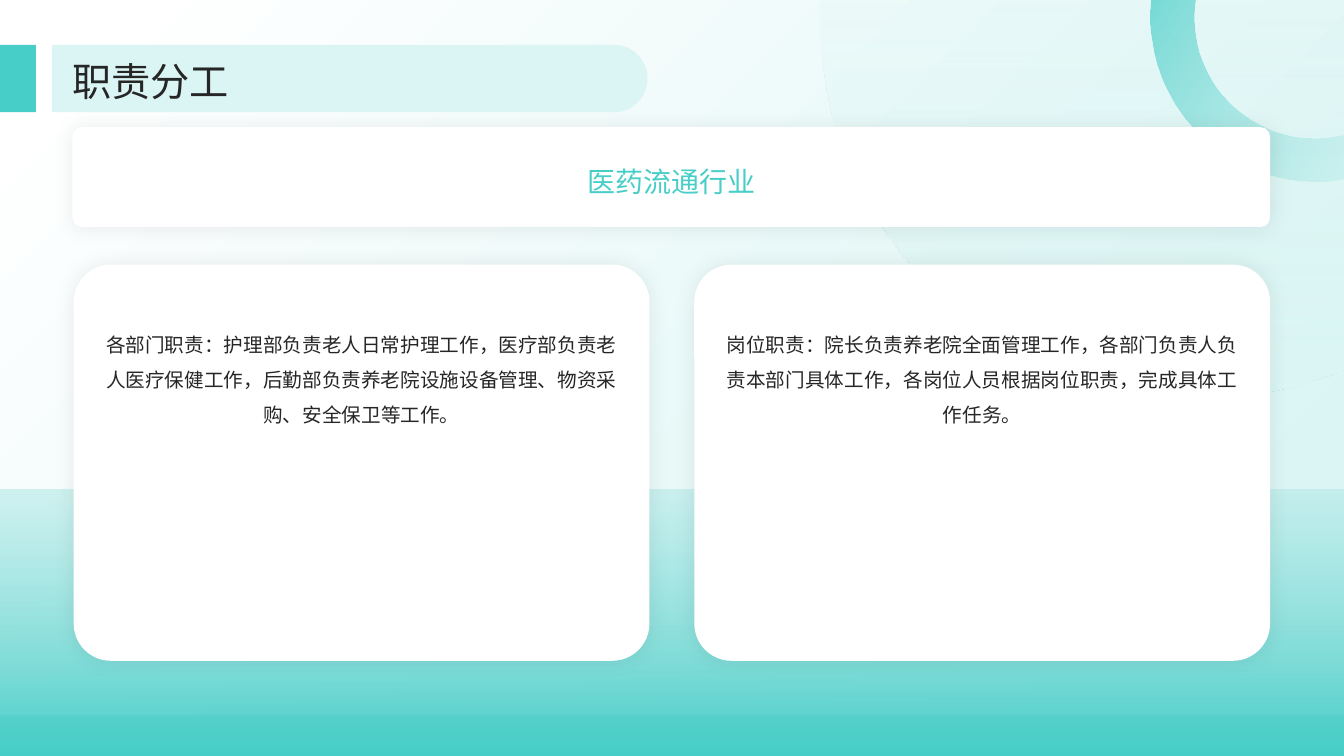
from dataclasses import dataclass

from lxml.etree import SubElement
from pptx import Presentation
from pptx.dml.color import RGBColor
from pptx.enum.shapes import MSO_SHAPE
from pptx.enum.text import MSO_ANCHOR, PP_ALIGN
from pptx.oxml import parse_xml
from pptx.oxml.ns import nsdecls, qn
from pptx.util import Pt


@dataclass(frozen=True)
class Theme:
    teal: str = "48CEC8"
    soft: str = "B6EBE9"
    pale: str = "DAF5F4"
    white: str = "FFFFFF"
    ink: str = "262626"
    shadow: str = "000000"
    body_font: str = "Noto Sans CJK SC"
    accent_font: str = "Cabin"
    title_size: int = 28
    heading_size: int = 20
    body_size: int = 14


THEME = Theme()
WIDTH, HEIGHT = 960, 540
HEADING = "医药流通行业"
DUTIES = [
    "各部门职责：护理部负责老人日常护理工作，医疗部负责老人医疗保健工作，"
    "后勤部负责养老院设施设备管理、物资采购、安全保卫等工作。",
    "岗位职责：院长负责养老院全面管理工作，各部门负责人负责本部门具体工作，"
    "各岗位人员根据岗位职责，完成具体工作任务。",
]


def add_shape(s, kind, box, color=None, rotation=0, adjustments=()):
    sp = s.shapes.add_shape(kind, *map(Pt, box))
    sp.shadow.inherit = False
    sp.line.fill.background()
    sp.rotation = rotation
    for i, value in enumerate(adjustments):
        sp.adjustments[i] = value
    if color:
        sp.fill.solid()
        sp.fill.fore_color.rgb = RGBColor.from_string(color)
    return sp


def add_quarter_turned(s, kind, box, color, adjustments=()):
    """Add a shape turned by 90 degrees that covers the given box."""
    x, y, w, h = box
    upright = (x + (w - h) / 2, y + (h - w) / 2, h, w)
    return add_shape(s, kind, upright, color, 90, adjustments)


def set_gradient(sp, stops, angle):
    """Fill with (position %, colour, opacity %) stops."""
    gs = "".join(
        f'<a:gs pos="{pos * 1000}"><a:srgbClr val="{color}">'
        f'<a:alpha val="{opacity * 1000}"/></a:srgbClr></a:gs>'
        for pos, color, opacity in stops
    )
    fill = parse_xml(
        f'<a:gradFill {nsdecls("a")} rotWithShape="1"><a:gsLst>{gs}</a:gsLst>'
        f'<a:lin ang="{angle * 60000}" scaled="0"/></a:gradFill>'
    )
    sp.element.spPr.find(qn("a:prstGeom")).addnext(fill)


def add_text(s, box, text, font, size, color, spacing,
             align=PP_ALIGN.CENTER, **frame_format):
    tf = s.shapes.add_textbox(*map(Pt, box)).text_frame
    tf.word_wrap = True
    for name, value in frame_format.items():
        setattr(tf, name, value)
    p = tf.paragraphs[0]
    for name, value in {"alignment": align, "line_spacing": spacing}.items():
        setattr(p, name, value)
    r = p.add_run()
    r.text = text
    for name, value in {"name": font, "size": Pt(size)}.items():
        setattr(r.font, name, value)
    r.font.color.rgb = RGBColor.from_string(color)
    SubElement(r.font._element, qn("a:ea"), typeface=font)


def add_panel(s, box):
    """Add a white rounded panel with a soft glow-like shadow."""
    sp = add_shape(s, MSO_SHAPE.ROUNDED_RECTANGLE, box, THEME.white, 180, [0.094])
    shadow = parse_xml(
        f'<a:outerShdw {nsdecls("a")} blurRad="{Pt(15)}" dist="0" dir="0" '
        f'algn="ctr" rotWithShape="0"><a:srgbClr val="{THEME.shadow}">'
        '<a:alpha val="8000"/></a:srgbClr></a:outerShdw>'
    )
    sp.element.spPr.find(qn("a:effectLst")).append(shadow)


def add_backdrop(s, box):
    x, y, w, h = box
    base = add_shape(s, MSO_SHAPE.RECTANGLE, box, rotation=180)
    set_gradient(base, [(14, THEME.pale, 100), (95, THEME.white, 100)], 45)

    disc = add_shape(s, MSO_SHAPE.OVAL, (x + w - 374, y - 258.5, 542, 542),
                     rotation=45)
    set_gradient(disc, [(40, THEME.pale, 0), (100, THEME.pale, 100)], 45)

    add_shape(s, MSO_SHAPE.RECTANGLE, (x - 5, y + h - 29, w + 10, 29), THEME.teal)

    ring = add_shape(s, MSO_SHAPE.DONUT, (x + w - 138.5, y - 106, 235.5, 235.5),
                     rotation=256.7, adjustments=[0.133])
    set_gradient(ring, [(0, THEME.soft, 0), (100, THEME.teal, 100)], 315)

    floor = add_shape(s, MSO_SHAPE.RECTANGLE, (x, y + h - 190, w, 190))
    set_gradient(floor, [(0, THEME.soft, 61), (100, THEME.teal, 100)], 90)


def add_duty_cards(s, box, texts, gap=32):
    x, y, w, h = box
    card_w = (w - gap * (len(texts) - 1)) / len(texts)
    lefts = [x + i * (card_w + gap) for i in range(len(texts))]
    for left in lefts:
        add_panel(s, (left, y, card_w, h))
    for left, text in zip(lefts, texts):
        add_text(s, (left + 14.5, y + 36.5, card_w - 29, h - 60), text,
                 THEME.body_font, THEME.body_size, THEME.ink, 1.5)


def add_heading_panel(s, box, text):
    x, y, w, h = box
    add_panel(s, box)
    add_text(s, (x + 19, y + 21, w - 38, h - 42), text,
             THEME.accent_font, THEME.heading_size, THEME.teal, 1.1)


def add_title_bar(s, box, text):
    x, y, w, h = box
    add_quarter_turned(s, MSO_SHAPE.RECTANGLE, (x, y, 26, h), THEME.teal)
    add_quarter_turned(s, MSO_SHAPE.ROUND_2_SAME_RECTANGLE,
                       (x + 37.3, y, 425.5, h), THEME.pale, [0.5, 0])
    margins = {f"margin_{side}": 0 for side in ("left", "top", "right", "bottom")}
    add_text(s, (x + 52, y + 5.7, w - 52, h - 11.4), text, THEME.body_font,
             THEME.title_size, THEME.ink, 1.1, PP_ALIGN.LEFT,
             vertical_anchor=MSO_ANCHOR.MIDDLE, **margins)


def main():
    prs = Presentation()
    prs.slide_width, prs.slide_height = Pt(WIDTH), Pt(HEIGHT)
    s = prs.slides.add_slide(prs.slide_layouts[6])
    add_backdrop(s, (0, 0, WIDTH, HEIGHT))
    add_duty_cards(s, (52.6, 189, 854.6, 283), DUTIES)
    add_heading_panel(s, (51.7, 90.8, 855.5, 71.3), HEADING)
    add_title_bar(s, (-0.3, 32, 907.5, 48.2), "职责分工")
    prs.save("out.pptx")


if __name__ == "__main__":
    main()
